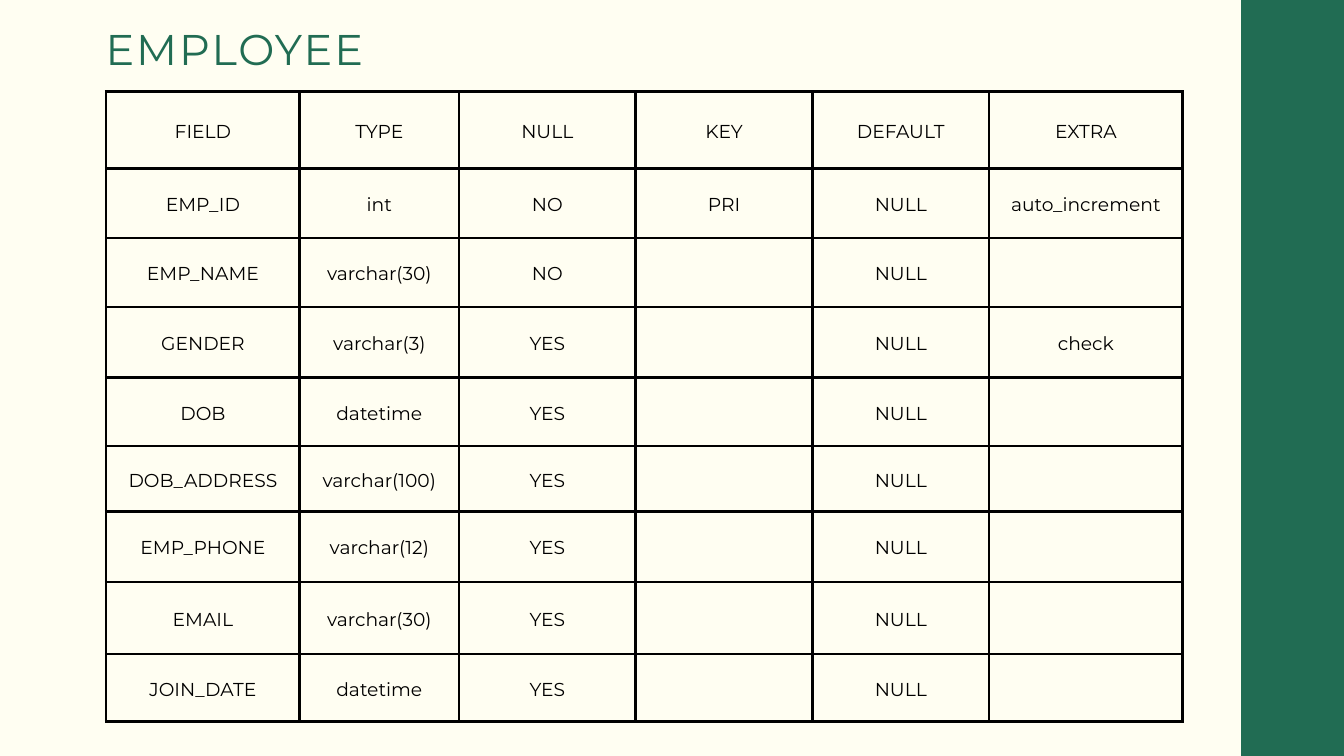
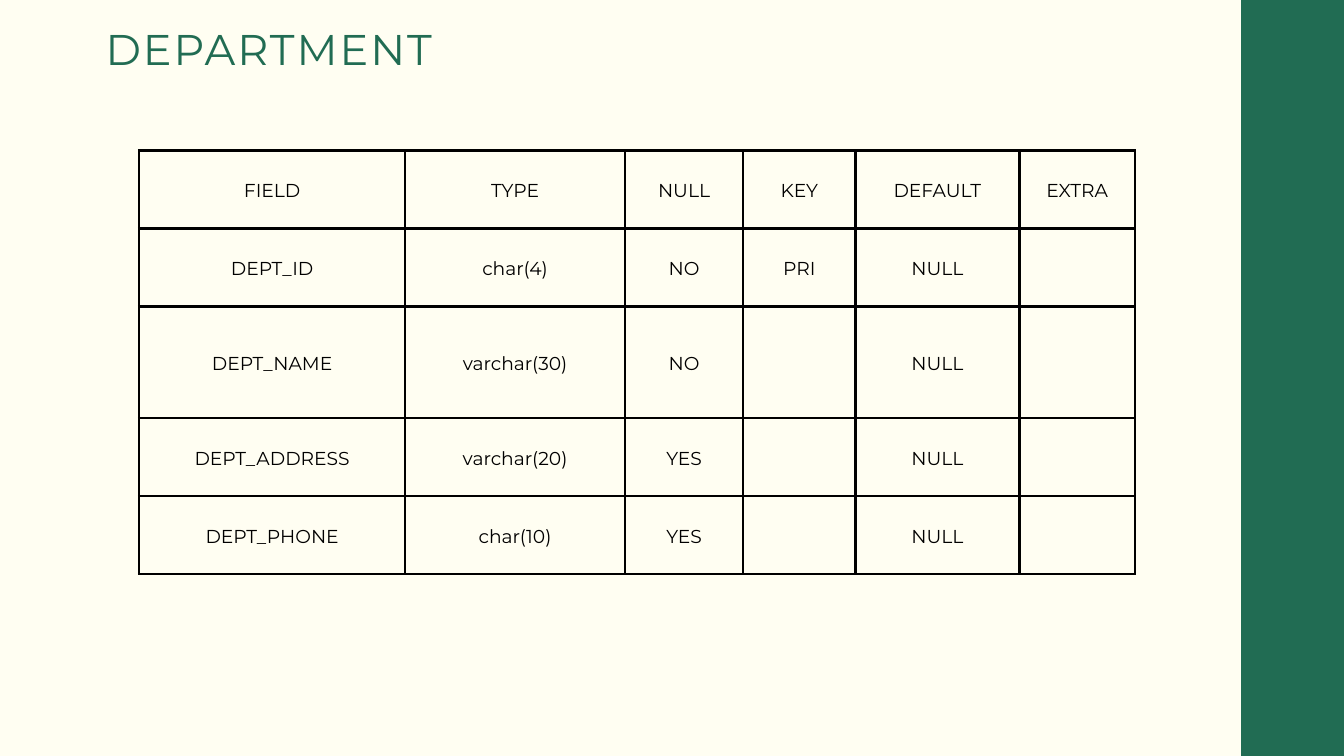
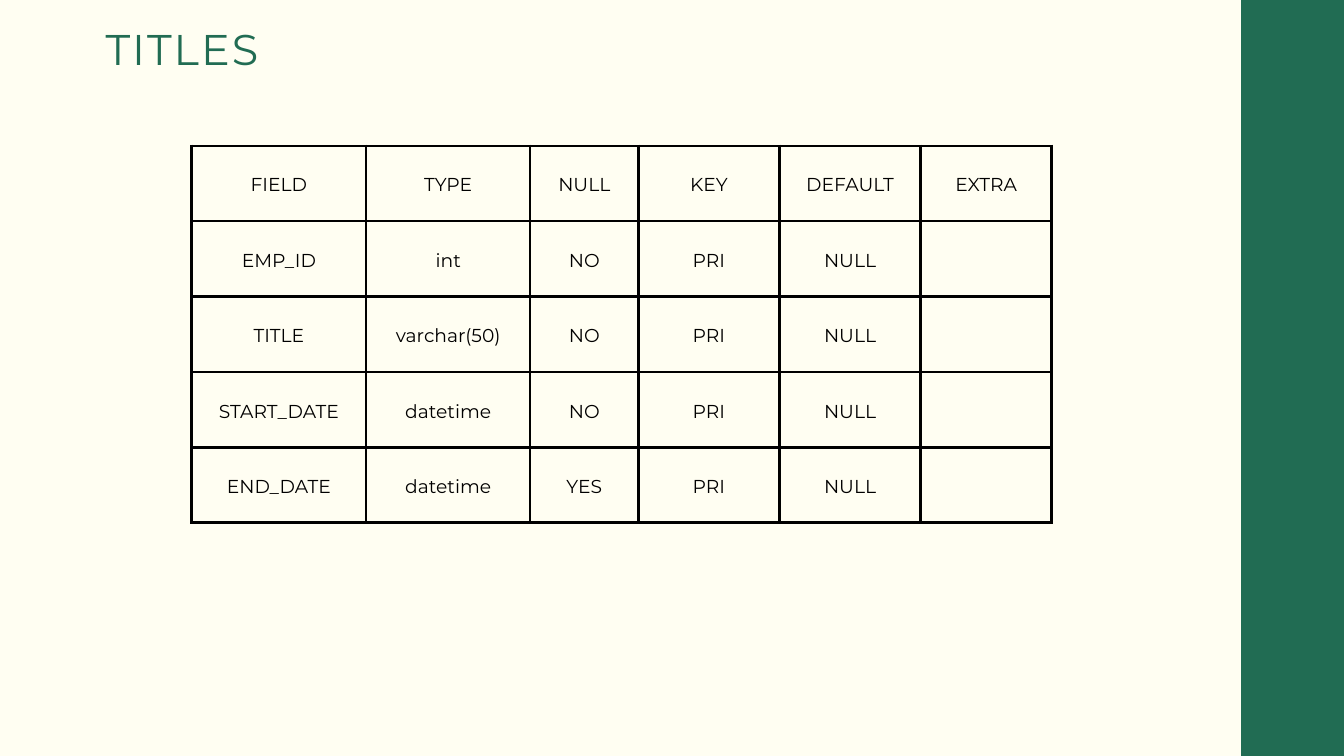
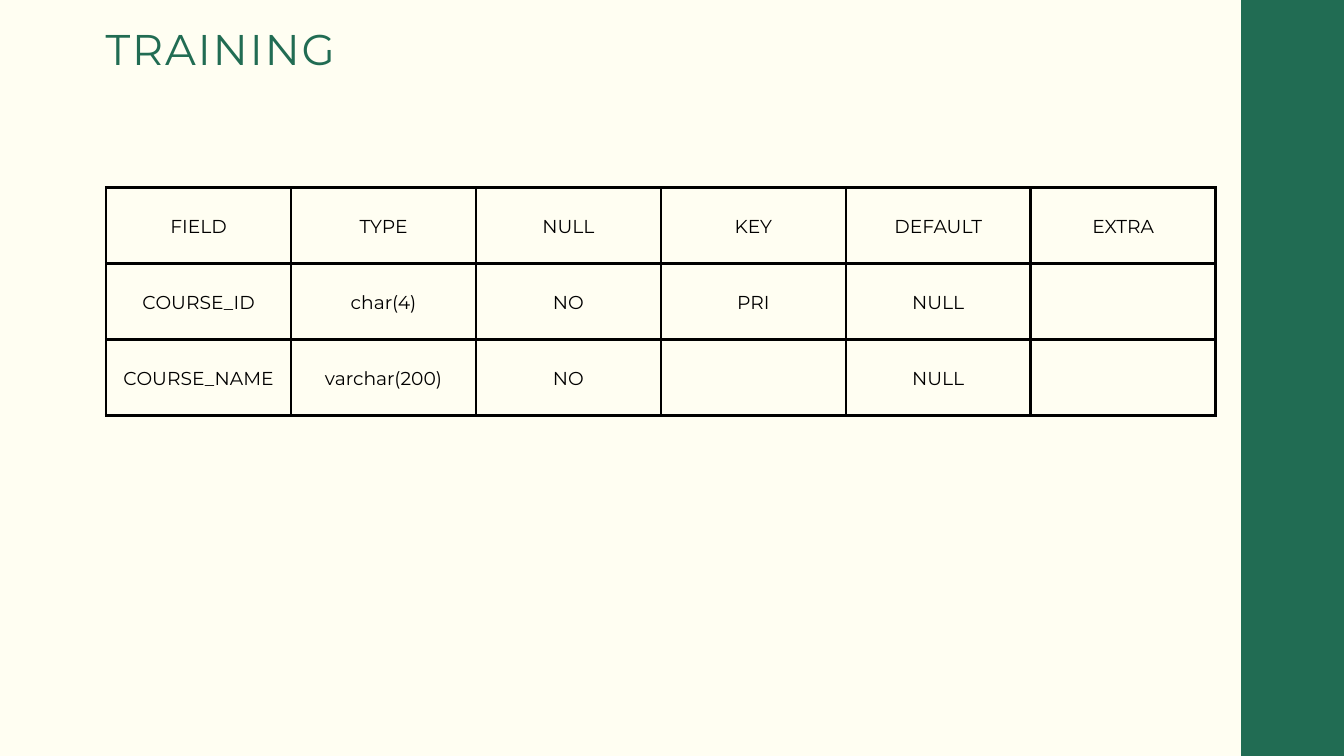
"""Build four slides that describe the tables of a staff database."""
from dataclasses import dataclass
from typing import NamedTuple

import pptx
import pptx.dml.color
import pptx.enum.text
import pptx.oxml
import pptx.oxml.ns
import pptx.presentation
import pptx.slide
import pptx.table
import pptx.text.text
import pptx.util
from pptx.util import Inches

COLORS = {"paper": "FFFEF2", "green": "216C53", "ink": "000000"}
FACE = "Montserrat"
WIDE, HIGH = 20, 11.25
BAND, BLEED = 18.47, 22.72
INSET = 0.21
RULE = 3


class Field(NamedTuple):
    name: str
    kind: str
    null: str = "NO"
    key: str = ""
    default: str = "NULL"
    extra: str = ""


@dataclass
class Sheet:
    title: str
    left: float
    top: float
    cols: list[float]
    rows: list[float]
    fields: list[Field]
    span: float = 6.97


HEAD = Field("FIELD", "TYPE", "NULL", "KEY", "DEFAULT", "EXTRA")

SHEETS = [
    Sheet(
        "EMPLOYEE", 1.58, 1.36,
        [2.88, 2.37, 2.63, 2.63, 2.63, 2.88],
        [1.15, 1.03, 1.03, 1.05, 1.02, 0.97, 1.05, 1.07, 1.01],
        [
            Field("EMP_ID", "int", key="PRI", extra="auto_increment"),
            Field("EMP_NAME", "varchar(30)"),
            Field("GENDER", "varchar(3)", "YES", extra="check"),
            Field("DOB", "datetime", "YES"),
            Field("DOB_ADDRESS", "varchar(100)", "YES"),
            Field("EMP_PHONE", "varchar(12)", "YES"),
            Field("EMAIL", "varchar(30)", "YES"),
            Field("JOIN_DATE", "datetime", "YES"),
        ],
    ),
    Sheet(
        "DEPARTMENT", 2.07, 2.24,
        [3.96, 3.27, 1.76, 1.67, 2.44, 1.72],
        [1.16, 1.16, 1.66, 1.16, 1.16],
        [
            Field("DEPT_ID", "char(4)", key="PRI"),
            Field("DEPT_NAME", "varchar(30)"),
            Field("DEPT_ADDRESS", "varchar(20)", "YES"),
            Field("DEPT_PHONE", "char(10)", "YES"),
        ],
        span=7.72,
    ),
    Sheet(
        "TITLES", 2.85, 2.17,
        [2.6, 2.44, 1.61, 2.1, 2.1, 1.95],
        [5.61 / 5] * 5,
        [
            Field("EMP_ID", "int", key="PRI"),
            Field("TITLE", "varchar(50)", key="PRI"),
            Field("START_DATE", "datetime", key="PRI"),
            Field("END_DATE", "datetime", "YES", "PRI"),
        ],
    ),
    Sheet(
        "TRAINING", 1.58, 2.79,
        [16.51 / 6] * 6,
        [1.13] * 3,
        [
            Field("COURSE_ID", "char(4)", key="PRI"),
            Field("COURSE_NAME", "varchar(200)"),
        ],
    ),
]


def tint(name: str) -> pptx.dml.color.RGBColor:
    return pptx.dml.color.RGBColor.from_string(COLORS[name])


def style(para: pptx.text.text._Paragraph, size: float, color: str, lead: float) -> None:
    para.line_spacing = pptx.util.Pt(lead)
    para.font.size = pptx.util.Pt(size)
    para.font.name = FACE
    para.font.color.rgb = tint(color)


def frame(cell: pptx.table._Cell) -> None:
    props = cell._tc.get_or_add_tcPr()
    for side in "LRTB":
        props.append(pptx.oxml.parse_xml(
            f'<a:ln{side} {pptx.oxml.ns.nsdecls("a")} w="{pptx.util.Pt(RULE)}">'
            f'<a:solidFill><a:srgbClr val="{COLORS["ink"]}"/></a:solidFill>'
            f'</a:ln{side}>'))
    cell.fill.background()


def fill(cell: pptx.table._Cell, text: str) -> None:
    frame(cell)
    cell.margin_left = cell.margin_right = Inches(INSET)
    cell.margin_top = cell.margin_bottom = Inches(INSET)
    cell.vertical_anchor = pptx.enum.text.MSO_ANCHOR.MIDDLE
    para = cell.text_frame.paragraphs[0]
    if text:
        para.text = text
    para.alignment = pptx.enum.text.PP_ALIGN.CENTER
    style(para, 20, "ink", 28)


def band(slide: pptx.slide.Slide) -> None:
    left, right, base = Inches(BAND), Inches(BLEED), Inches(HIGH)
    path = slide.shapes.build_freeform(left, 0)
    path.add_line_segments([(right, 0), (right, base), (left, base)], close=True)
    shape = path.convert_to_shape()
    shape.shadow.inherit = False
    shape.fill.solid()
    shape.fill.fore_color.rgb = tint("green")
    shape.line.fill.background()


def title(slide: pptx.slide.Slide, sheet: Sheet) -> None:
    shape = slide.shapes.title
    shape.left, shape.top = Inches(1.57), Inches(0.21)
    shape.width, shape.height = Inches(sheet.span), Inches(0.85)
    text = shape.text_frame
    text.text = sheet.title
    text.word_wrap = True
    text.auto_size = pptx.enum.text.MSO_AUTO_SIZE.NONE
    text.vertical_anchor = pptx.enum.text.MSO_ANCHOR.TOP
    text.margin_left = text.margin_right = text.margin_top = text.margin_bottom = 0
    para = text.paragraphs[0]
    para.alignment = pptx.enum.text.PP_ALIGN.LEFT
    style(para, 46, "green", 64.4)
    para.runs[0]._r.get_or_add_rPr().set("spc", "220")


def grid(slide: pptx.slide.Slide, sheet: Sheet) -> None:
    table = slide.shapes.add_table(
        len(sheet.rows), len(sheet.cols), Inches(sheet.left), Inches(sheet.top),
        Inches(sum(sheet.cols)), Inches(sum(sheet.rows))).table
    table.first_row = table.horz_banding = False
    for col, width in zip(table.columns, sheet.cols):
        col.width = Inches(width)
    for row, height, field in zip(table.rows, sheet.rows, [HEAD, *sheet.fields]):
        row.height = Inches(height)
        for cell, text in zip(row.cells, field):
            fill(cell, text)


def draw(deck: pptx.presentation.Presentation, sheet: Sheet) -> None:
    slide = deck.slides.add_slide(deck.slide_layouts.get_by_name("Title Only"))
    slide.background.fill.solid()
    slide.background.fill.fore_color.rgb = tint("paper")
    band(slide)
    grid(slide, sheet)
    title(slide, sheet)


def main() -> None:
    deck = pptx.Presentation()
    deck.slide_width, deck.slide_height = Inches(WIDE), Inches(HIGH)
    for sheet in SHEETS:
        draw(deck, sheet)
    deck.save("out.pptx")


if __name__ == "__main__":
    main()
